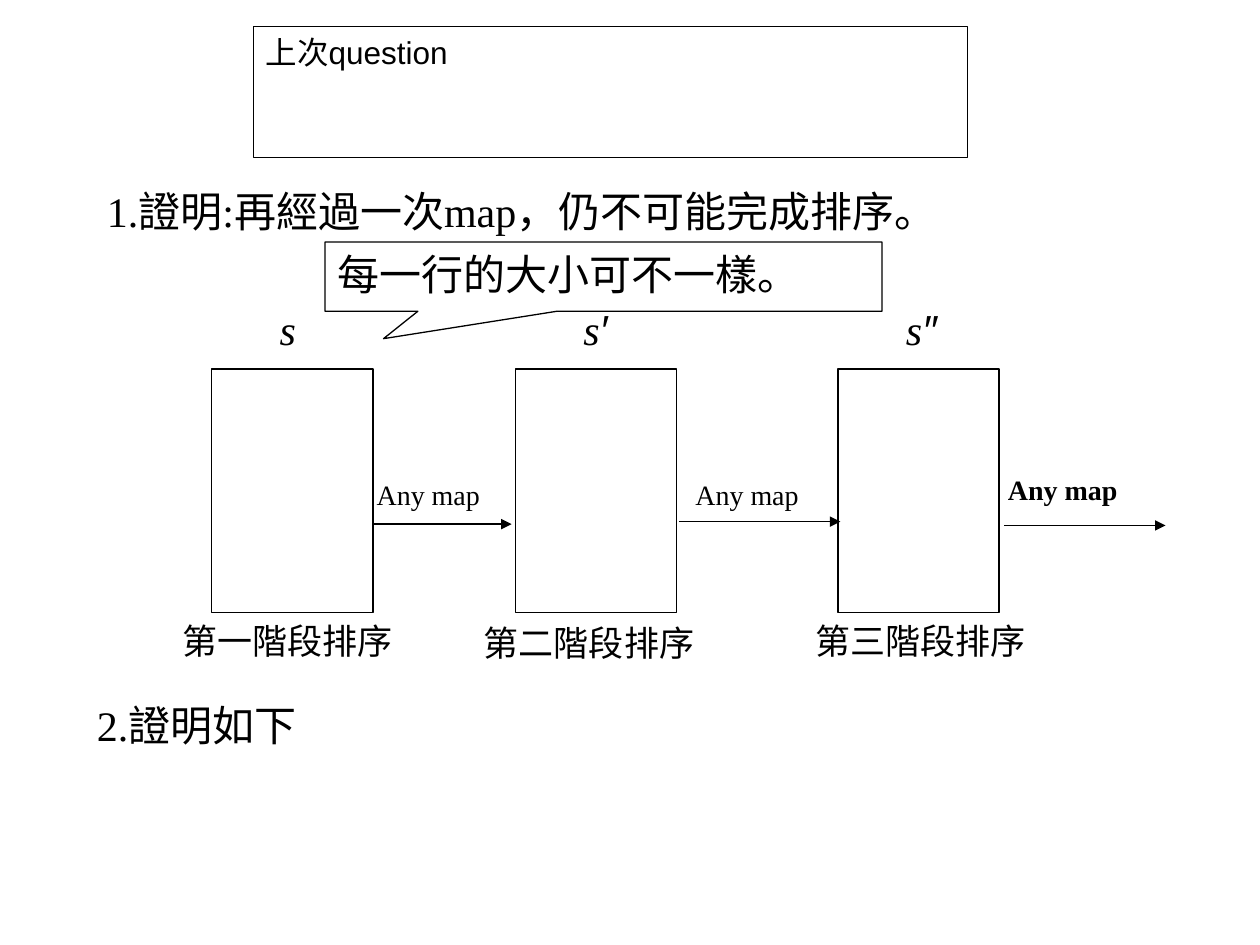
from pptx import Presentation
from pptx.dml.color import RGBColor
from pptx.enum.shapes import MSO_CONNECTOR, MSO_SHAPE
from pptx.enum.text import MSO_ANCHOR, PP_ALIGN
from pptx.oxml.ns import qn
from pptx.util import Inches, Pt
from lxml import etree

RECT = MSO_SHAPE.RECTANGLE
CALLOUT = MSO_SHAPE.RECTANGULAR_CALLOUT
STRAIGHT = MSO_CONNECTOR.STRAIGHT
TOP = MSO_ANCHOR.TOP
LEFT, JUSTIFY = PP_ALIGN.LEFT, PP_ALIGN.JUSTIFY
BLACK, WHITE = "000000", "FFFFFF"
SERIF, SANS = "Times New Roman", "Arial"
PAD = (0.1, 0.05)


def color(code):
    return RGBColor.from_string(code)


def style(run, size, font=SERIF, bold=False, italic=False):
    run.font.size = Pt(size)
    run.font.name = font
    run.font.bold = bold
    run.font.italic = italic
    run.font.color.rgb = color(BLACK)


def write(shape, text, size, pad=(0, 0), align=LEFT, **look):
    frame = shape.text_frame
    frame.word_wrap = True
    frame.vertical_anchor = TOP
    frame.margin_left = frame.margin_right = Inches(pad[0])
    frame.margin_top = frame.margin_bottom = Inches(pad[1])
    frame.text = text
    para = frame.paragraphs[0]
    para.alignment = align
    style(para.runs[0], size, **look)
    return para


def add_text(slide, box, text, size, **look):
    shape = slide.shapes.add_textbox(*map(Inches, box))
    return write(shape, text, size, **look)


def add_box(slide, box, kind=RECT, fill=WHITE, line=BLACK):
    shape = slide.shapes.add_shape(kind, *map(Inches, box))
    shape.shadow.inherit = False
    if fill:
        shape.fill.solid()
        shape.fill.fore_color.rgb = color(fill)
    else:
        shape.fill.background()
    if line:
        shape.line.color.rgb = color(line)
        shape.line.width = Pt(0.75)
    else:
        shape.line.fill.background()
    return shape


def add_arrow(slide, start, end, y):
    arrow = slide.shapes.add_connector(
        STRAIGHT, Inches(start), Inches(y), Inches(end), Inches(y))
    arrow.line.color.rgb = color(BLACK)
    arrow.line.width = Pt(0.75)
    etree.SubElement(arrow.line._get_or_add_ln(), qn("a:tailEnd"), type="triangle")
    etree.SubElement(arrow._element.spPr, qn("a:effectLst"))


def add_stage(slide, left, prime, name, spot):
    add_box(slide, (left, 2.93, 1.28, 1.93))
    # State symbol above, stage name below
    para = add_text(slide, (left + 0.54, 2.41, 0.43, 0.53), "s", 24, italic=True)
    if prime:
        run = para.add_run()
        run.text = prime
        style(run, 24, font=SANS, italic=True)
    add_text(slide, (*spot, 1.88, 0.38), name, 20)


def main():
    deck = Presentation()
    deck.slide_width, deck.slide_height = Inches(10), Inches(7.5)
    slide = deck.slides.add_slide(deck.slide_layouts[6])

    # Sorting stages
    stages = [
        (1.68, "", "第一階段排序", (1.45, 4.92)),
        (4.09, "′", "第二階段排序", (3.84, 4.93)),
        (6.65, "″", "第三階段排序", (6.47, 4.92)),
    ]
    for stage in stages:
        add_stage(slide, *stage)

    # Maps between the stages
    for start, end, y in [(2.96, 4.06, 4.16), (5.39, 6.67, 4.14), (7.97, 9.25, 4.17)]:
        add_arrow(slide, start, end, y)
    for left in (2.99, 5.52):
        add_text(slide, (left, 3.79, 1.1, 0.35), "Any map", 16)
    last = add_box(slide, (8, 3.75, 1.1, 0.35), line=None)
    write(last, "Any map", 16, bold=True)

    # Callout
    note = add_box(slide, (2.58, 1.92, 4.42, 0.55), CALLOUT, fill=None)
    note.adjustments[0], note.adjustments[1] = -0.395, 0.896
    write(note, "每一行的大小可不一樣。", 24, pad=PAD, align=JUSTIFY)

    # Heading and the two proofs
    head = add_box(slide, (2.01, 0.21, 5.67, 1.04))
    write(head, "上次question", 18, pad=PAD, font=SANS)
    add_text(slide, (0.75, 1.42, 6.75, 0.9),
             "1.證明:再經過一次map，仍不可能完成排序。", 24, pad=PAD)
    add_text(slide, (0.67, 5.5, 9.08, 0.5), "2.證明如下", 24, pad=PAD)

    deck.save("out.pptx")


if __name__ == "__main__":
    main()
